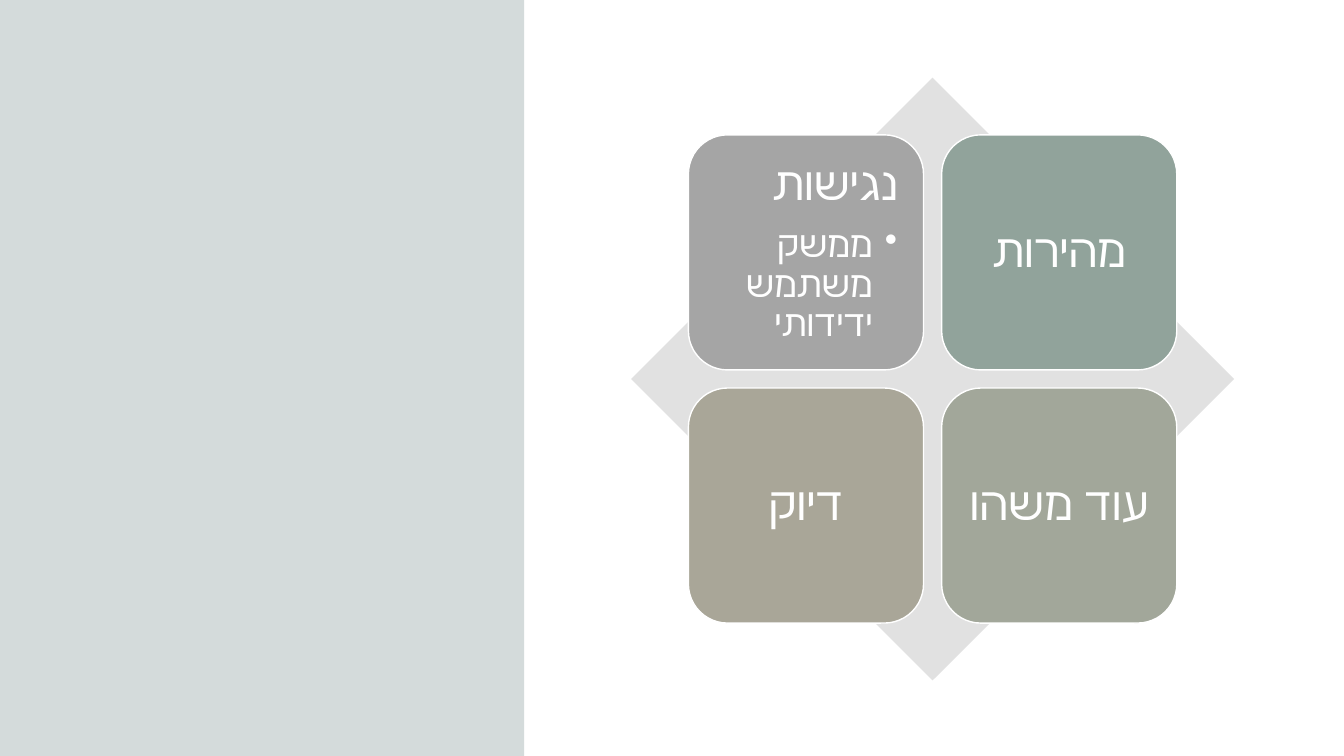
"""Build a slide with a side panel and a four-tile matrix of qualities over a diamond."""
from lxml.etree import SubElement
from pptx import Presentation
from pptx.dml.color import RGBColor
from pptx.enum.lang import MSO_LANGUAGE_ID as Language
from pptx.enum.shapes import MSO_SHAPE as Shape
from pptx.enum.text import MSO_ANCHOR as Anchor, PP_ALIGN as Align
from pptx.oxml.ns import qn
from pptx.util import Inches, Pt

THEME = {
    "panel": "557272", "diamond": "E1E1E1", "white": "FFFFFF",
    "accessibility": "A5A5A5", "speed": "91A39B",
    "accuracy": "A9A698", "extra": "A2A79A",
    "font": "Calibri", "title_size": 33, "bullet_size": 26,
}
WIDTH, HEIGHT = 13.33, 7.5
DIAMOND_SIZE = 5.98
DIAMOND_LEFT, DIAMOND_TOP = 6.26, 0.77
TILE_SIZE = DIAMOND_SIZE * 0.39
TILE_STEP = DIAMOND_SIZE * 0.42
TILE_LEFT = DIAMOND_LEFT + (DIAMOND_SIZE - TILE_STEP - TILE_SIZE) / 2
TILE_TOP = DIAMOND_TOP + (DIAMOND_SIZE - TILE_STEP - TILE_SIZE) / 2
TILES = [
    (0, 0, "accessibility", "נגישות", "ממשק משתמש ידידותי"),
    (1, 0, "speed", "מהירות", None),
    (0, 1, "accuracy", "דיוק", None),
    (1, 1, "extra", "עוד משהו", None),
]


def add_block(shapes, kind, box, color):
    """Add a flat filled shape without an outline."""
    shape = shapes.add_shape(kind, *[Inches(length) for length in box])
    shape.shadow.inherit = False
    shape.fill.solid()
    shape.fill.fore_color.rgb = RGBColor.from_string(THEME[color])
    shape.line.fill.background()
    return shape


def write_paragraph(paragraph, text, size, align, space_after):
    """Write one right-to-left paragraph and return its properties element."""
    paragraph.alignment = align
    paragraph.line_spacing = 0.9
    properties = paragraph._p.get_or_add_pPr()
    properties.set("rtl", "1")
    spacing = SubElement(properties, qn("a:spcAft"))
    SubElement(spacing, qn("a:spcPct"), val=str(space_after * 1000))
    run = paragraph.add_run()
    run.text = text
    run_format = {"name": THEME["font"], "size": Pt(THEME[size]), "language_id": Language.HEBREW}
    for name, value in run_format.items():
        setattr(run.font, name, value)
    run.font.color.rgb = RGBColor.from_string(THEME["white"])
    return properties


presentation = Presentation()
presentation.slide_width, presentation.slide_height = Inches(WIDTH), Inches(HEIGHT)
slide = presentation.slides.add_slide(presentation.slide_layouts[6])

panel = add_block(slide.shapes, Shape.RECTANGLE, (0, 0, WIDTH * 0.39, HEIGHT), "panel")
panel_color = panel._element.spPr.find(".//" + qn("a:srgbClr"))
SubElement(panel_color, qn("a:alpha"), val="25000")

matrix = slide.shapes.add_group_shape()
diamond_box = (DIAMOND_LEFT, DIAMOND_TOP, DIAMOND_SIZE, DIAMOND_SIZE)
add_block(matrix.shapes, Shape.DIAMOND, diamond_box, "diamond")

for column, row, color, title, bullet in TILES:
    tile_box = (TILE_LEFT + column * TILE_STEP, TILE_TOP + row * TILE_STEP, TILE_SIZE, TILE_SIZE)
    tile = add_block(matrix.shapes, Shape.ROUNDED_RECTANGLE, tile_box, color)
    tile.line.color.rgb = RGBColor.from_string(THEME["white"])
    tile.line.width = Pt(1)

    frame = tile.text_frame
    frame_format = {"word_wrap": True, "vertical_anchor": Anchor.TOP if bullet else Anchor.MIDDLE}
    frame_format.update({f"margin_{side}": Inches(0.14) for side in ("left", "top", "right", "bottom")})
    for name, value in frame_format.items():
        setattr(frame, name, value)

    title_align = Align.RIGHT if bullet else Align.CENTER
    write_paragraph(frame.paragraphs[0], title, "title_size", title_align, 35)
    if bullet:
        paragraph = frame.add_paragraph()
        paragraph.level = 1
        properties = write_paragraph(paragraph, bullet, "bullet_size", Align.RIGHT, 15)
        properties.set("marL", str(Inches(0.25)))
        properties.set("indent", str(Inches(-0.25)))
        SubElement(properties, qn("a:buChar"), char="•")

presentation.save("out.pptx")
